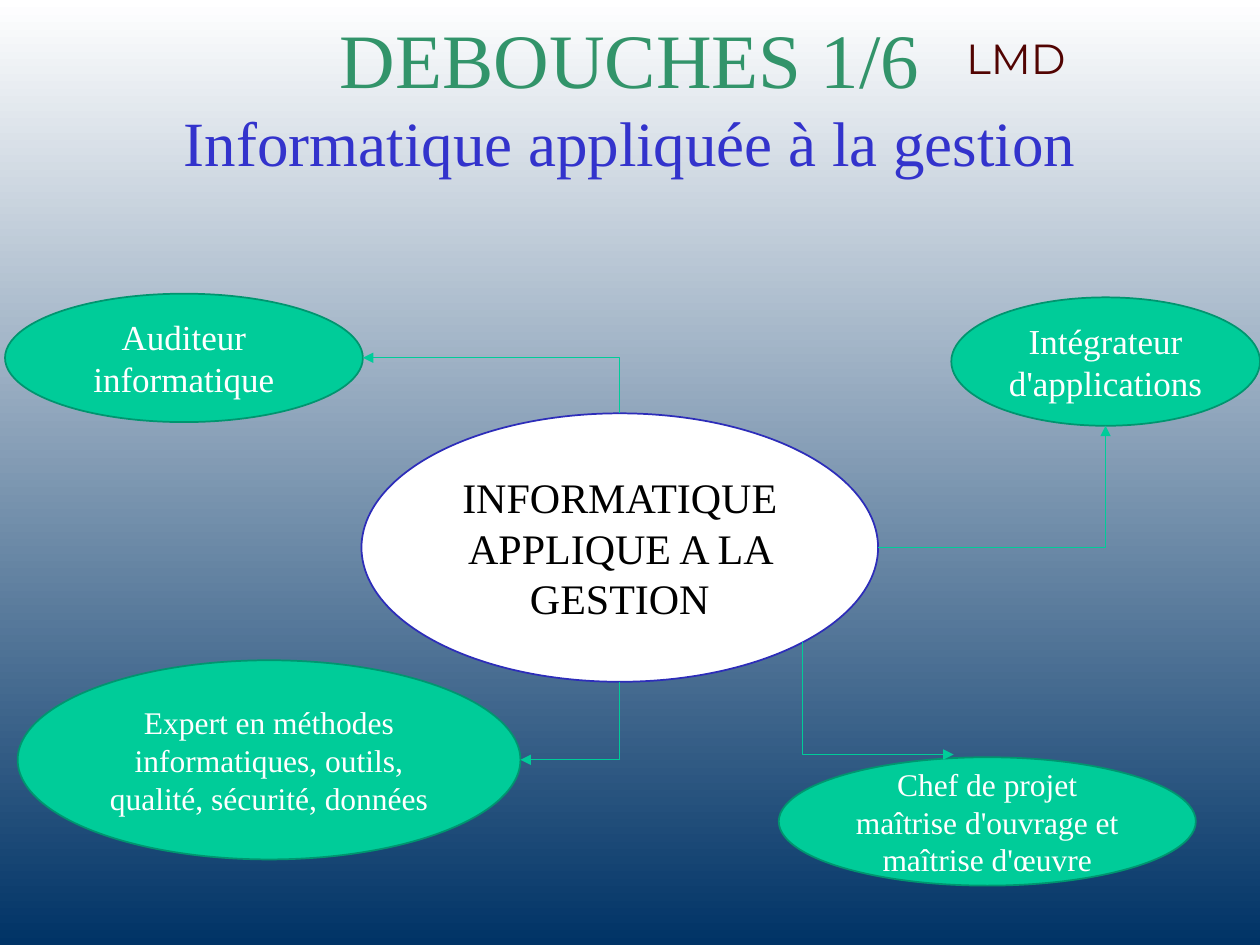
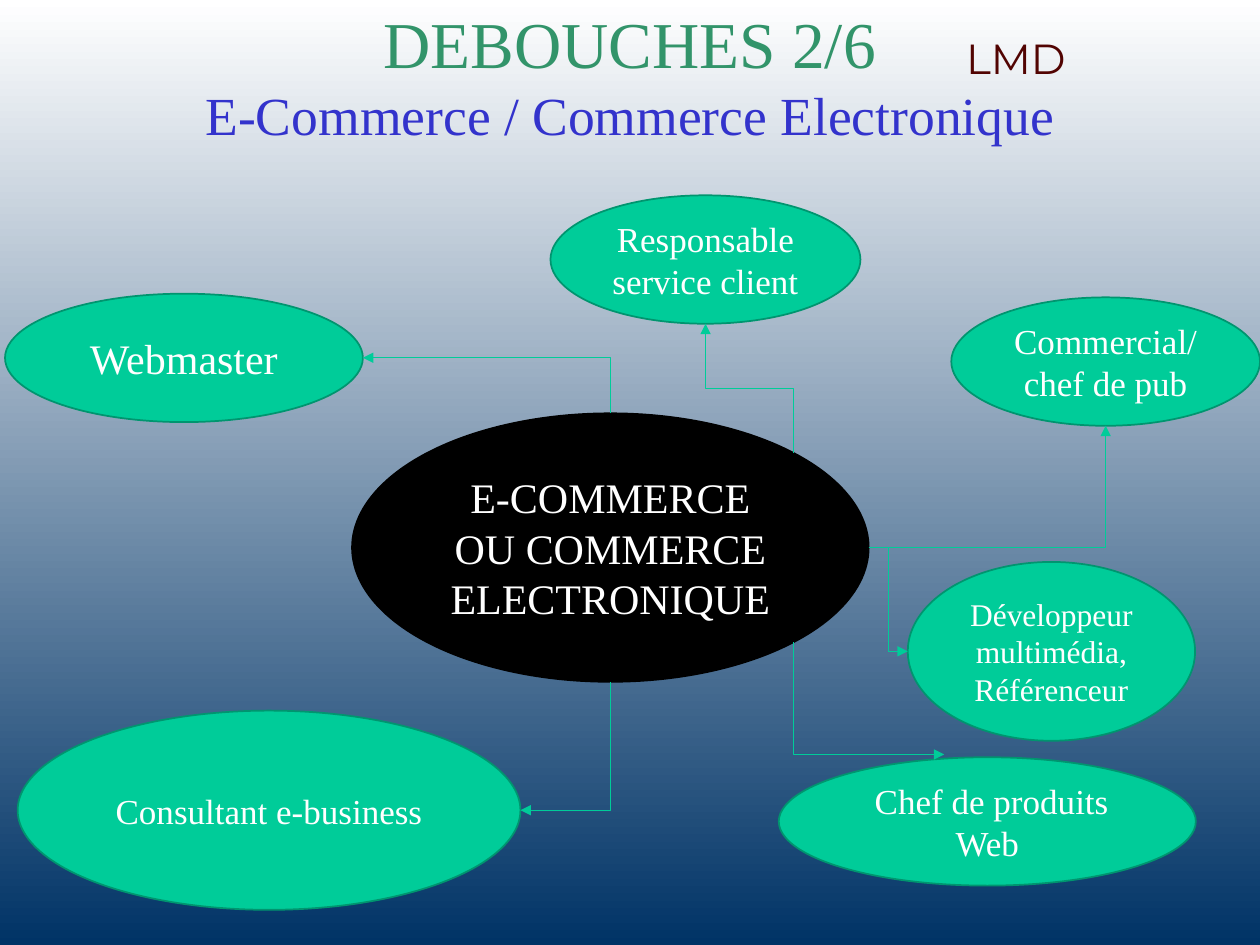
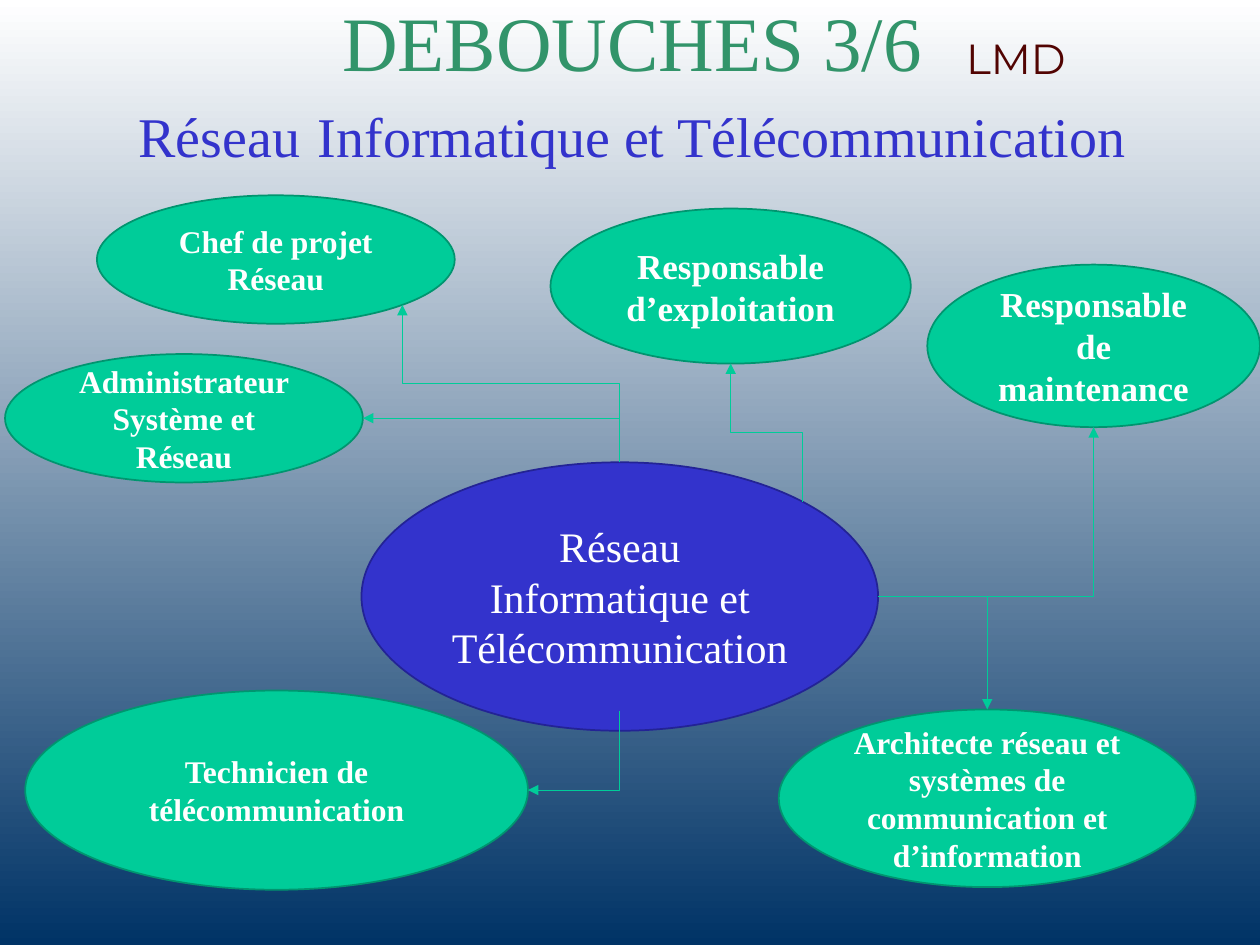
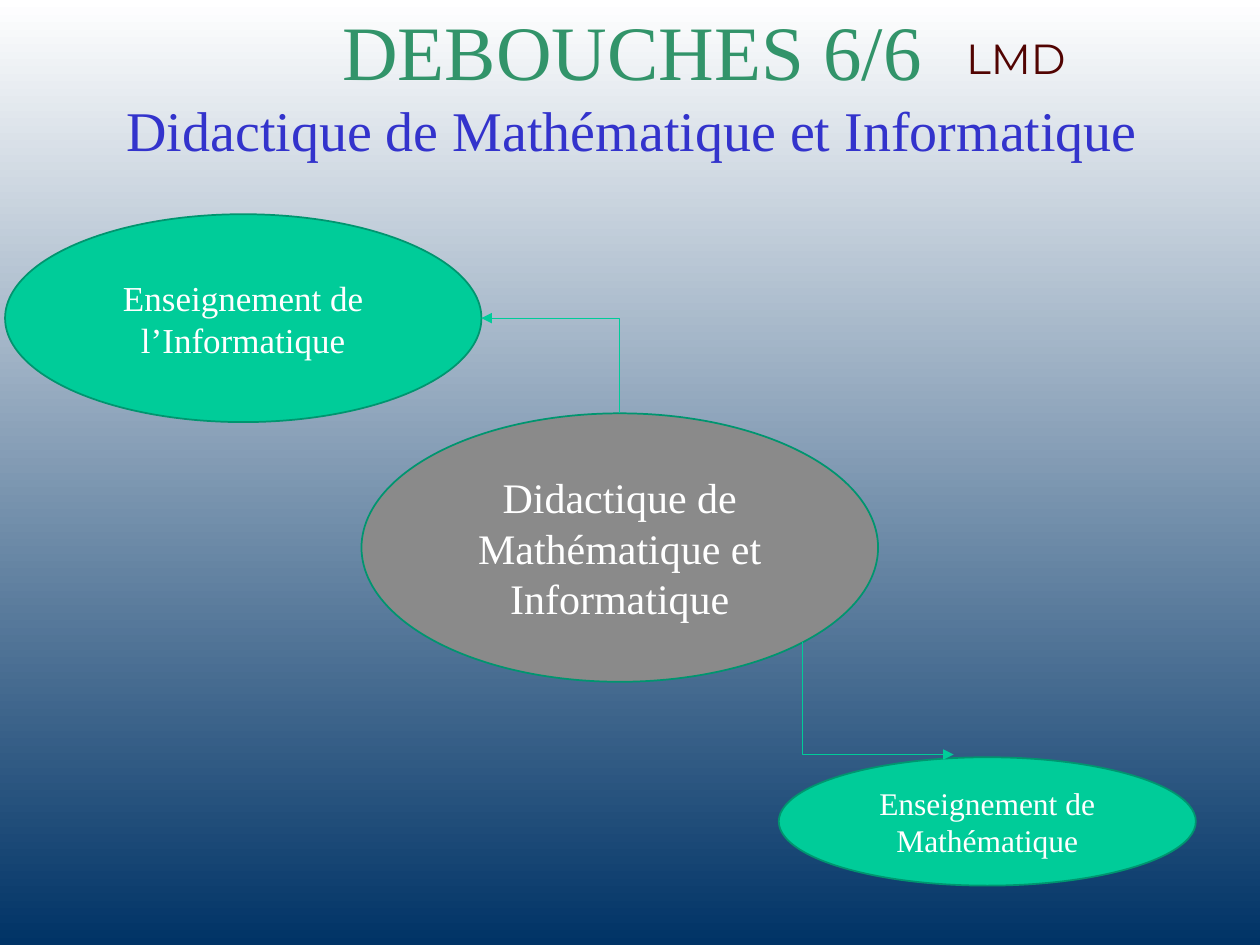
import math

from lxml import etree
from pptx import Presentation
from pptx.dml.color import RGBColor
from pptx.enum import shapes, text
from pptx.oxml.ns import qn
from pptx.util import Pt

GREEN = RGBColor(0x32, 0x94, 0x6A)
BLUE = RGBColor(0x33, 0x33, 0xCC)
WHITE = RGBColor(0xFF, 0xFF, 0xFF)
BLACK = RGBColor(0x00, 0x00, 0x00)
NAVY = RGBColor(0x00, 0x33, 0x66)
MINT = RGBColor(0x00, 0xCC, 0x99)
MINT_EDGE = RGBColor(0x00, 0x95, 0x6F)
GREY = RGBColor(0x8A, 0x8A, 0x8A)
HUB_EDGE = RGBColor(0x2D, 0x2D, 0xB9)
BLUE_EDGE = RGBColor(0x23, 0x23, 0x95)
BROWN = RGBColor(0x52, 0x04, 0x02)
GOLD = RGBColor(0xFF, 0xCC, 0x00)

SERIF = "Times New Roman"
SANS = "Montserrat"
HUB_SIZE = (295.2, 153.4)
TITLE_SIZE = (612, 90)
SIDES = {"N": (0, -1), "S": (0, 1), "E": (1, 0), "W": (-1, 0), "NE": (1, -1), "SE": (1, 1)}


def side(shape, name):
    across, down = SIDES[name]
    reach = math.hypot(across, down)
    return (
        shape.left.pt + shape.width.pt / 2 * (1 + across / reach),
        shape.top.pt + shape.height.pt / 2 * (1 + down / reach),
    )


def set_gradient(fill, first, last):
    fill.gradient()
    fill.gradient_angle = 270
    for stop, color in zip(fill.gradient_stops, (first, last)):
        stop.color.rgb = color


class Deck:
    def __init__(self):
        self.presentation = Presentation()
        self.presentation.slide_width = Pt(720)
        self.presentation.slide_height = Pt(540)
        set_gradient(self.presentation.slide_master.background.fill, WHITE, NAVY)
        self.slide = None

    def add_slide(self, heading, subtitle, left, top, heading_size=44, margin_bottom=3.6):
        self.slide = self.presentation.slides.add_slide(self.presentation.slide_layouts[5])
        title = self.slide.shapes.title
        title.left, title.top = Pt(left), Pt(top)
        title.width, title.height = (Pt(length) for length in TITLE_SIZE)
        frame = title.text_frame
        frame.auto_size = text.MSO_AUTO_SIZE.NONE
        frame.vertical_anchor = text.MSO_ANCHOR.MIDDLE
        frame.margin_bottom = Pt(margin_bottom)
        paragraph = frame.paragraphs[0]
        paragraph.alignment = text.PP_ALIGN.CENTER
        paragraph.font.name = SERIF
        paragraph.font.size = Pt(heading_size)
        self.add_run(paragraph, heading, heading_size, GREEN)
        paragraph.add_line_break()
        for words, size, color in subtitle:
            self.add_run(paragraph, words, size, color)
        self.add_tag()

    def add_run(self, paragraph, words, size, color):
        run = paragraph.add_run()
        run.text = words
        run.font.size = Pt(size)
        run.font.color.rgb = color

    def add_tag(self):
        box = self.slide.shapes.add_textbox(Pt(545), Pt(15.1), Pt(175), Pt(27.4))
        box.text_frame.word_wrap = False
        run = box.text_frame.paragraphs[0].add_run()
        run.text = "LMD"
        run.font.name = SANS
        run.font.size = Pt(24)
        set_gradient(run.font.fill, BROWN, GOLD)

    def add_ellipse(self, words, left, top, width, height, size=20, bold=False,
                    fill=MINT, edge=MINT_EDGE, color=WHITE):
        shape = self.slide.shapes.add_shape(
            shapes.MSO_SHAPE.OVAL, Pt(left), Pt(top), Pt(width), Pt(height))
        shape.shadow.inherit = False
        shape.fill.solid()
        shape.fill.fore_color.rgb = fill
        shape.line.color.rgb = edge
        shape.line.width = Pt(1)
        frame = shape.text_frame
        frame.word_wrap = True
        frame.vertical_anchor = text.MSO_ANCHOR.MIDDLE
        paragraph = frame.paragraphs[0]
        paragraph.text = words
        paragraph.alignment = text.PP_ALIGN.CENTER
        paragraph.font.name = SERIF
        paragraph.font.size = Pt(size)
        paragraph.font.bold = bold
        paragraph.font.color.rgb = color
        return shape

    def add_hub(self, words, left, top, fill, edge, color=WHITE):
        return self.add_ellipse(words, left, top, *HUB_SIZE, size=24,
                                fill=fill, edge=edge, color=color)

    def add_link(self, start, end, vertical=True, bends=1):
        turn = 0
        if vertical:
            across, down = end[0] - start[0], end[1] - start[1]
            turn = 90 if across < 0 < down else 270
            sign = 1 if turn == 90 else -1
            middle = ((start[0] + end[0]) / 2, (start[1] + end[1]) / 2)
            half = (sign * down / 2, -sign * across / 2)
            start = (middle[0] - half[0], middle[1] - half[1])
            end = (middle[0] + half[0], middle[1] + half[1])
        connector = self.slide.shapes.add_connector(
            shapes.MSO_CONNECTOR.ELBOW, *(Pt(value) for value in (*start, *end)))
        connector.line.color.rgb = MINT
        connector.line.width = Pt(0.5)
        properties = connector._element.spPr
        properties.find(qn("a:prstGeom")).set("prst", f"bentConnector{bends + 1}")
        if turn:
            properties.find(qn("a:xfrm")).set("rot", str(turn * 60000))
        etree.SubElement(properties.find(qn("a:ln")), qn("a:tailEnd"), type="triangle")
        etree.SubElement(properties, qn("a:effectLst"))

    def add_lower_right_link(self, hub):
        x, y = side(hub, "SE")
        self.add_link((x, y), (x + 86.4, y + 64))


def build_management(deck):
    deck.add_slide("DEBOUCHES 1/6", [("Informatique appliquée à la gestion", 36, BLUE)], 54, 9.4)
    hub = deck.add_hub("INFORMATIQUE APPLIQUE A LA GESTION", 206.6, 236.2, WHITE, HUB_EDGE, BLACK)
    auditor = deck.add_ellipse("Auditeur informatique", 2.9, 167.8, 204.5, 73.4)
    expert = deck.add_ellipse("Expert en méthodes informatiques, outils, qualité, sécurité, données",
                              10.1, 377.3, 287.3, 113.8, 18)
    deck.add_ellipse("Chef de projet maîtrise d'ouvrage et maîtrise d'œuvre",
                     445, 432.7, 238.3, 73.4, 18)
    integrator = deck.add_ellipse("Intégrateur d'applications", 543.6, 169.9, 176.4, 73.4)
    deck.add_lower_right_link(hub)
    deck.add_link(side(hub, "N"), side(auditor, "E"))
    deck.add_link(side(hub, "S"), side(expert, "E"))
    deck.add_link(side(hub, "E"), side(integrator, "S"), vertical=False)


def build_commerce(deck):
    deck.add_slide("DEBOUCHES 2/6", [("E-Commerce / Commerce Electronique", 30.6, BLUE)],
                   54, -2.2, 37.4)
    hub = deck.add_hub("E-COMMERCE OU COMMERCE ELECTRONIQUE", 201.2, 236.2, BLACK, BLACK)
    webmaster = deck.add_ellipse("Webmaster", 2.9, 167.8, 204.5, 73.4, 24)
    consultant = deck.add_ellipse("Consultant e-business", 10.1, 406.1, 287.3, 113.8)
    deck.add_ellipse(" Chef de produits Web", 445, 432.7, 238.3, 73.4)
    advertiser = deck.add_ellipse("Commercial/ chef de pub", 543.6, 169.9, 176.4, 73.4)
    developer = deck.add_ellipse("Développeur multimédia, Référenceur",
                                 518.7, 321.1, 164.2, 102.2, 18)
    service = deck.add_ellipse("Responsable service client", 314.6, 111.6, 177.1, 73.4)
    deck.add_lower_right_link(hub)
    deck.add_link(side(hub, "N"), side(webmaster, "E"))
    deck.add_link(side(hub, "S"), side(consultant, "E"))
    deck.add_link(side(hub, "E"), side(advertiser, "S"), vertical=False)
    deck.add_link(side(hub, "E"), side(developer, "W"), vertical=False, bends=2)
    deck.add_link(side(hub, "NE"), side(service, "S"), bends=2)


def build_network(deck):
    subtitle = [("Réseau", 32, BLUE), (" ", 40, BLACK),
                ("Informatique et Télécommunication", 32, BLUE)]
    deck.add_slide("DEBOUCHES 3/6", subtitle, 55.4, 20.9, margin_bottom=40.4)
    hub = deck.add_hub("Réseau Informatique et Télécommunication", 206.6, 264.2, BLUE, BLUE_EDGE)
    administrator = deck.add_ellipse("Administrateur Système et Réseau",
                                     2.9, 202.3, 204.5, 73.4, 18, True)
    technician = deck.add_ellipse("Technicien de télécommunication",
                                  14.4, 394.6, 287.3, 113.8, 18, True)
    architect = deck.add_ellipse("Architecte réseau et systèmes de communication et d’information",
                                 445, 405.4, 238.3, 101.5, 18, True)
    maintenance = deck.add_ellipse("Responsable de maintenance", 529.9, 151.2, 190.1, 92.9, 20, True)
    operations = deck.add_ellipse("Responsable d’exploitation", 314.6, 119.2, 205.9, 88.6, 20, True)
    manager = deck.add_ellipse("Chef de projet Réseau", 55.4, 111.6, 204.5, 73.4, 18, True)
    bottom_x, bottom_y = side(hub, "S")
    deck.add_link(side(hub, "N"), side(administrator, "E"))
    deck.add_link((bottom_x, bottom_y - 11.5), side(technician, "E"))
    deck.add_link(side(hub, "E"), side(maintenance, "S"), vertical=False)
    deck.add_link(side(hub, "NE"), side(operations, "S"), bends=2)
    deck.add_link(side(hub, "N"), side(manager, "SE"), bends=2)
    deck.add_link(side(hub, "E"), side(architect, "N"), vertical=False)


def build_teaching(deck):
    deck.add_slide("DEBOUCHES 6/6", [("Didactique de Mathématique et Informatique", 32, BLUE)],
                   55.4, 20.9, margin_bottom=40.4)
    hub = deck.add_hub("Didactique de Mathématique et Informatique", 206.6, 236.2, GREY, MINT_EDGE)
    computing = deck.add_ellipse("Enseignement de l’Informatique", 2.9, 122.4, 272.2, 118.8)
    deck.add_ellipse("Enseignement de Mathématique", 445, 432.7, 238.3, 73.4, 18)
    deck.add_lower_right_link(hub)
    deck.add_link(side(hub, "N"), side(computing, "E"))


def main():
    deck = Deck()
    for build in (build_management, build_commerce, build_network, build_teaching):
        build(deck)
    deck.presentation.save("out.pptx")


if __name__ == "__main__":
    main()
